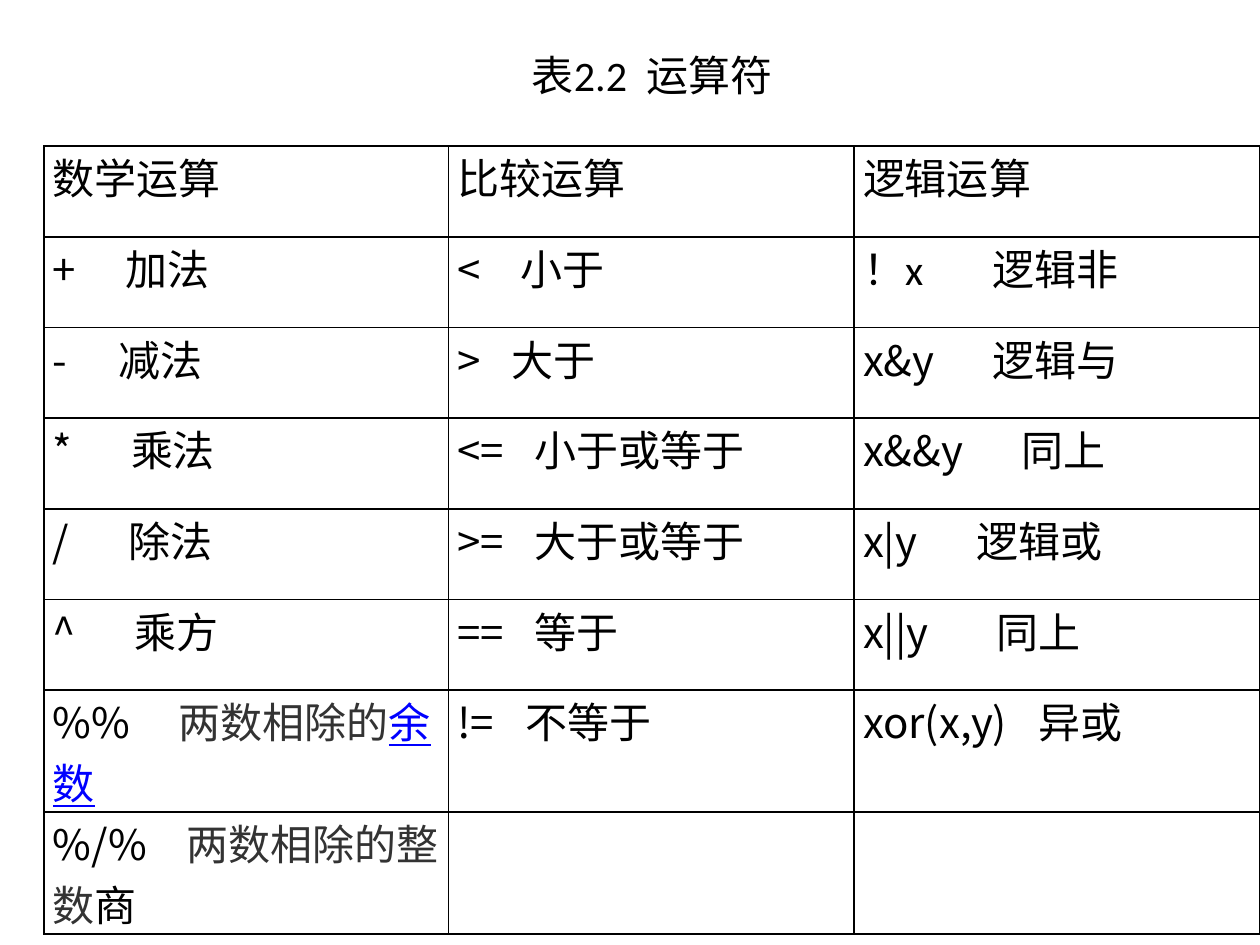
from lxml.etree import SubElement
from pptx import Presentation
from pptx.dml.color import RGBColor
from pptx.enum.text import MSO_ANCHOR, PP_ALIGN
from pptx.oxml.ns import qn
from pptx.util import Inches, Pt

COLORS = {"ink": "000000", "gray": "333333", "link": "0000FF"}
CJK, LATIN = "Noto Sans CJK SC", "Calibri"

CAPTION = "表2.2  运算符"
COLUMN_WIDTHS = (3.21, 3.22, 3.22)
ROW_HEIGHTS = [0.82] + [0.72] * 6 + [0.8] * 2
HEADINGS = ("数学运算", "比较运算", "逻辑运算")

# Each entry: operator, inches from the text edge to its meaning, meaning
OPERATORS = [
    [("+", 0.58, "加法"), ("<", 0.5, "小于"), ("！x", 1.03, "逻辑非")],
    [("-", 0.52, "减法"), (">", 0.43, "大于"), ("x&y", 1.03, "逻辑与")],
    [("*", 0.62, "乘法"), ("<=", 0.61, "小于或等于"), ("x&&y", 1.26, "同上")],
    [("/", 0.6, "除法"), (">=", 0.61, "大于或等于"), ("x|y", 0.9, "逻辑或")],
    [("^", 0.65, "乘方"), ("==", 0.61, "等于"), ("x||y", 1.06, "同上")],
    [("%%", 1.0, [("两数相除的", LATIN, "gray", False), ("余数", CJK, "link", True)]),
     ("!=", 0.54, "不等于"), ("xor(x,y)", 1.39, "异或")],
    [("%/%", 1.06, [("两数相除的整数", LATIN, "gray", False), ("商", LATIN, "ink", False)])],
]
CELL_FORMAT = {
    "margin_left": Inches(0.07), "margin_right": Inches(0.07),
    "margin_top": 0, "margin_bottom": 0, "vertical_anchor": MSO_ANCHOR.TOP,
}


class OperatorSlide:
    def __init__(self, slide):
        self.slide = slide

    def grid(self, left, top, widths, heights):
        frame = self.slide.shapes.add_table(
            len(heights), len(widths), Inches(left), Inches(top),
            Inches(sum(widths)), Inches(sum(heights)))
        table = frame.table
        table.first_row = table.horz_banding = False
        for column, width in zip(table.columns, widths):
            column.width = Inches(width)
        for row, height in zip(table.rows, heights):
            row.height = Inches(height)
        for row_index, row in enumerate(table.rows):
            for cell in row.cells:
                for name, value in CELL_FORMAT.items():
                    setattr(cell, name, value)
                self.borders(cell, "B" if row_index == 0 else "LRTB")
                cell.fill.background()
        return table

    def borders(self, cell, visible_sides):
        properties = cell._tc.get_or_add_tcPr()
        for side in "LRTB":
            line = SubElement(properties, qn(f"a:ln{side}"), w=str(Pt(1)))
            if side in visible_sides:
                fill = SubElement(line, qn("a:solidFill"))
                SubElement(fill, qn("a:srgbClr"), val=COLORS["ink"])
            else:
                SubElement(line, qn("a:noFill"))

    def run(self, paragraph, text, font=LATIN, color="ink", underline=False):
        run = paragraph.add_run()
        run.text = text
        style = {"name": font, "size": Pt(24), "underline": underline}
        for name, value in style.items():
            setattr(run.font, name, value)
        run.font.color.rgb = RGBColor.from_string(COLORS[color])

    def label(self, cell, text, align=PP_ALIGN.LEFT):
        paragraph = cell.text_frame.paragraphs[0]
        paragraph.alignment = align
        self.run(paragraph, text)

    def operator(self, cell, symbol, offset, meaning):
        """Write the symbol and its meaning; a minus sign serves as a bullet."""
        paragraph = cell.text_frame.paragraphs[0]
        properties = paragraph._p.get_or_add_pPr()
        distance = Inches(offset)
        if symbol == "-":
            properties.set("marL", str(distance))
            properties.set("indent", str(-distance))
            SubElement(properties, qn("a:buFont"), typeface=CJK)
            SubElement(properties, qn("a:buChar"), char=symbol)
        else:
            tabs = SubElement(properties, qn("a:tabLst"))
            SubElement(tabs, qn("a:tab"), pos=str(distance), algn="l")
            self.run(paragraph, symbol + "\t", LATIN if symbol == "！x" else CJK)
        parts = [(meaning,)] if isinstance(meaning, str) else meaning
        for part in parts:
            self.run(paragraph, *part)


def main():
    presentation = Presentation()
    presentation.slide_width, presentation.slide_height = Inches(10), Inches(7.5)
    page = OperatorSlide(presentation.slides.add_slide(presentation.slide_layouts[6]))

    table = page.grid(0.35, 0.34, COLUMN_WIDTHS, ROW_HEIGHTS)
    table.cell(0, 0).merge(table.cell(0, len(COLUMN_WIDTHS) - 1))
    page.label(table.cell(0, 0), CAPTION, PP_ALIGN.CENTER)
    for column, heading in enumerate(HEADINGS):
        page.label(table.cell(1, column), heading)
    for row, entries in enumerate(OPERATORS, start=2):
        for column, entry in enumerate(entries):
            page.operator(table.cell(row, column), *entry)

    presentation.save("out.pptx")


if __name__ == "__main__":
    main()
